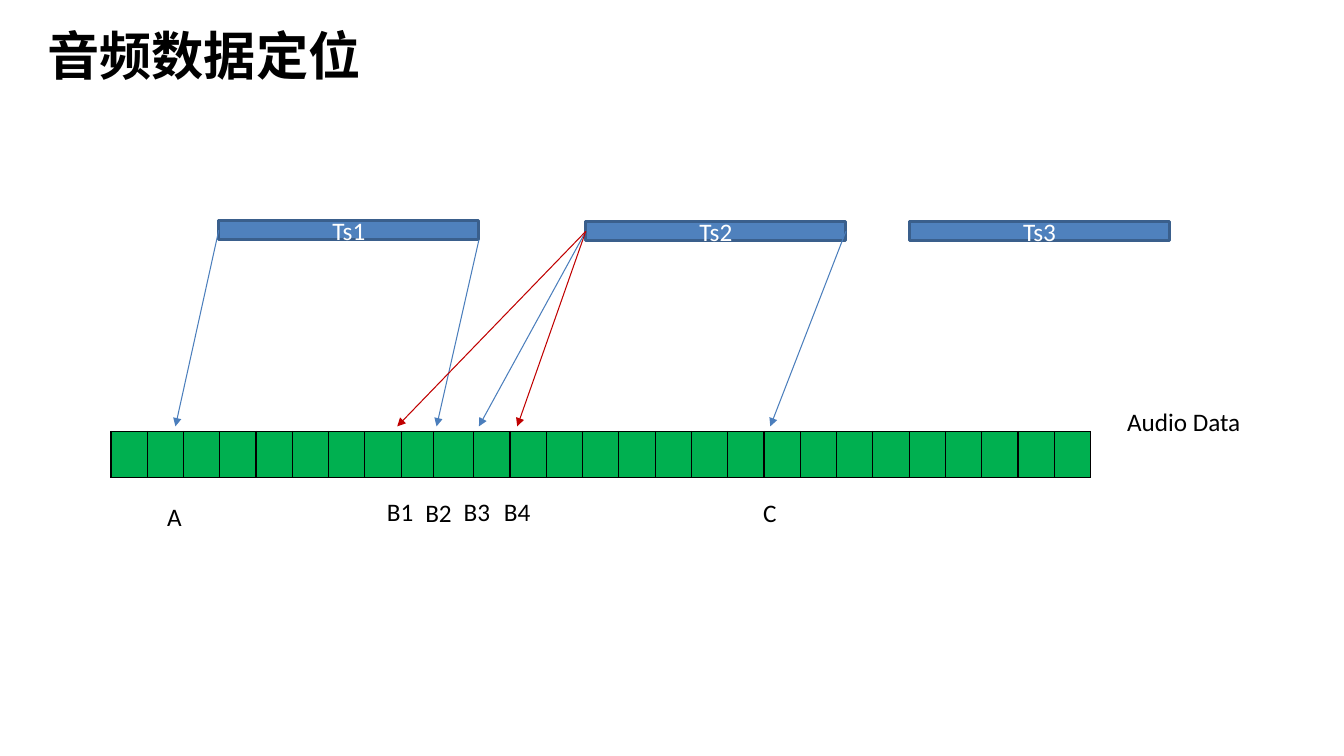
from lxml import etree
from pptx import Presentation
from pptx.dml.color import RGBColor
from pptx.enum.shapes import MSO_CONNECTOR, MSO_SHAPE
from pptx.enum.text import MSO_ANCHOR, PP_ALIGN
from pptx.oxml.ns import qn
from pptx.util import Inches, Pt

RECTANGLE = MSO_SHAPE.RECTANGLE
STRAIGHT = MSO_CONNECTOR.STRAIGHT
MIDDLE = MSO_ANCHOR.MIDDLE
CENTER = PP_ALIGN.CENTER

BLACK = RGBColor(0x00, 0x00, 0x00)
WHITE = RGBColor(0xFF, 0xFF, 0xFF)
SEGMENT_FILL = RGBColor(0x4F, 0x81, 0xBD)
SEGMENT_LINE = RGBColor(0x3A, 0x5F, 0x8C)
ARROW_BLUE = RGBColor(0x4B, 0x7E, 0xBC)
ARROW_RED = RGBColor(0xC0, 0x00, 0x00)
AUDIO_GREEN = RGBColor(0x00, 0xB0, 0x50)

TITLE_FORMAT = {"size": Pt(37.3), "name": "Noto Sans CJK SC", "bold": True}
BODY_FORMAT = {"size": Pt(18), "name": "Calibri"}

SEGMENT_WIDTH, SEGMENT_HEIGHT = 2.58, 0.19
SEGMENTS = {"Ts1": (2.17, 2.19), "Ts2": (5.81, 2.2), "Ts3": (9.02, 2.2)}
SEGMENT_MIDDLE = 2.3
ARROW_END = 4.23

# Segment, position along its width and height, target x, colour
ARROWS = [
    ("Ts1", 0, 0.5, 1.74, ARROW_BLUE),
    ("Ts1", 1, 1, 4.33, ARROW_BLUE),
    ("Ts2", 0, 0.5, 4.75, ARROW_BLUE),
    ("Ts2", 1, 0.5, 7.64, ARROW_BLUE),
    ("Ts2", 0, 0.5, 5.13, ARROW_RED),
    ("Ts2", 0, 0.5, 3.94, ARROW_RED),
]

# Text, left, top, width
LABELS = [
    ("Audio Data", 11.08, 3.98, 1.34),
    ("A", 1.56, 4.92, 0.35),
    ("B1", 3.74, 4.87, 0.47),
    ("B2", 4.12, 4.88, 0.47),
    ("B3", 4.5, 4.87, 0.47),
    ("B4", 4.9, 4.87, 0.47),
    ("C", 7.47, 4.88, 0.34),
]

COLUMN_WIDTHS = [0.36] * 8 + [0.32, 0.4] + [0.36] * 17


def write_text(frame, text, color, text_format):
    paragraph = frame.paragraphs[0]
    run = paragraph.add_run()
    run.text = text
    run.font.color.rgb = color
    for name, value in text_format.items():
        setattr(run.font, name, value)
    east_asian = etree.SubElement(run.font._element, qn("a:ea"))
    east_asian.set("typeface", text_format["name"])
    return paragraph


def add_text(slide, text, left, top, width, height, text_format, wrap=False):
    box = slide.shapes.add_textbox(*map(Inches, (left, top, width, height)))
    box.text_frame.word_wrap = wrap
    box.text_frame.vertical_anchor = MIDDLE
    write_text(box.text_frame, text, BLACK, text_format)


def add_segment(slide, text, left, top):
    box = map(Inches, (left, top, SEGMENT_WIDTH, SEGMENT_HEIGHT))
    shape = slide.shapes.add_shape(RECTANGLE, *box)
    shape.shadow.inherit = False
    shape.fill.solid()
    shape.fill.fore_color.rgb = SEGMENT_FILL
    shape.line.color.rgb = SEGMENT_LINE
    shape.line.width = Pt(2)
    shape.text_frame.vertical_anchor = MIDDLE
    write_text(shape.text_frame, text, WHITE, BODY_FORMAT).alignment = CENTER


def add_arrow(slide, segment, across, down, target, color):
    left, top = SEGMENTS[segment]
    ends = (left + across * SEGMENT_WIDTH, top + down * SEGMENT_HEIGHT, target, ARROW_END)
    arrow = slide.shapes.add_connector(STRAIGHT, *map(Inches, ends))
    arrow.line.color.rgb = color
    arrow.line.width = Pt(0.75)
    etree.SubElement(arrow.line._get_or_add_ln(), qn("a:tailEnd"), type="triangle")
    etree.SubElement(arrow._element.spPr, qn("a:effectLst"))


def add_cell_borders(cell):
    properties = cell._tc.get_or_add_tcPr()
    for side in ("L", "R", "T", "B"):
        border = etree.SubElement(properties, qn(f"a:ln{side}"), w=str(Pt(1)))
        fill = etree.SubElement(border, qn("a:solidFill"))
        etree.SubElement(fill, qn("a:srgbClr"), val=str(BLACK))


def add_audio_data(slide, left, top, height):
    box = map(Inches, (left, top, sum(COLUMN_WIDTHS), height))
    table = slide.shapes.add_table(1, len(COLUMN_WIDTHS), *box).table
    for column, width in zip(table.columns, COLUMN_WIDTHS):
        column.width = Inches(width)
    for cell in table.iter_cells():
        add_cell_borders(cell)
        cell.fill.solid()
        cell.fill.fore_color.rgb = AUDIO_GREEN


def build_slide(presentation):
    slide = presentation.slides.add_slide(presentation.slide_layouts[6])
    # Title
    add_text(slide, "音频数据定位", 0.37, 0.18, 12.6, 0.72, TITLE_FORMAT, wrap=True)
    # Time segments
    for text, (left, top) in SEGMENTS.items():
        add_segment(slide, text, left, top)
    # Audio blocks
    add_audio_data(slide, 1.1, 4.28, 0.46)
    # Arrows from segments to blocks
    for arrow in ARROWS:
        add_arrow(slide, *arrow)
    # Labels
    for text, left, top, width in LABELS:
        add_text(slide, text, left, top, width, 0.4, BODY_FORMAT)


def main():
    presentation = Presentation()
    presentation.slide_width = Inches(13.33)
    presentation.slide_height = Inches(7.5)
    build_slide(presentation)
    presentation.save("out.pptx")


if __name__ == "__main__":
    main()
